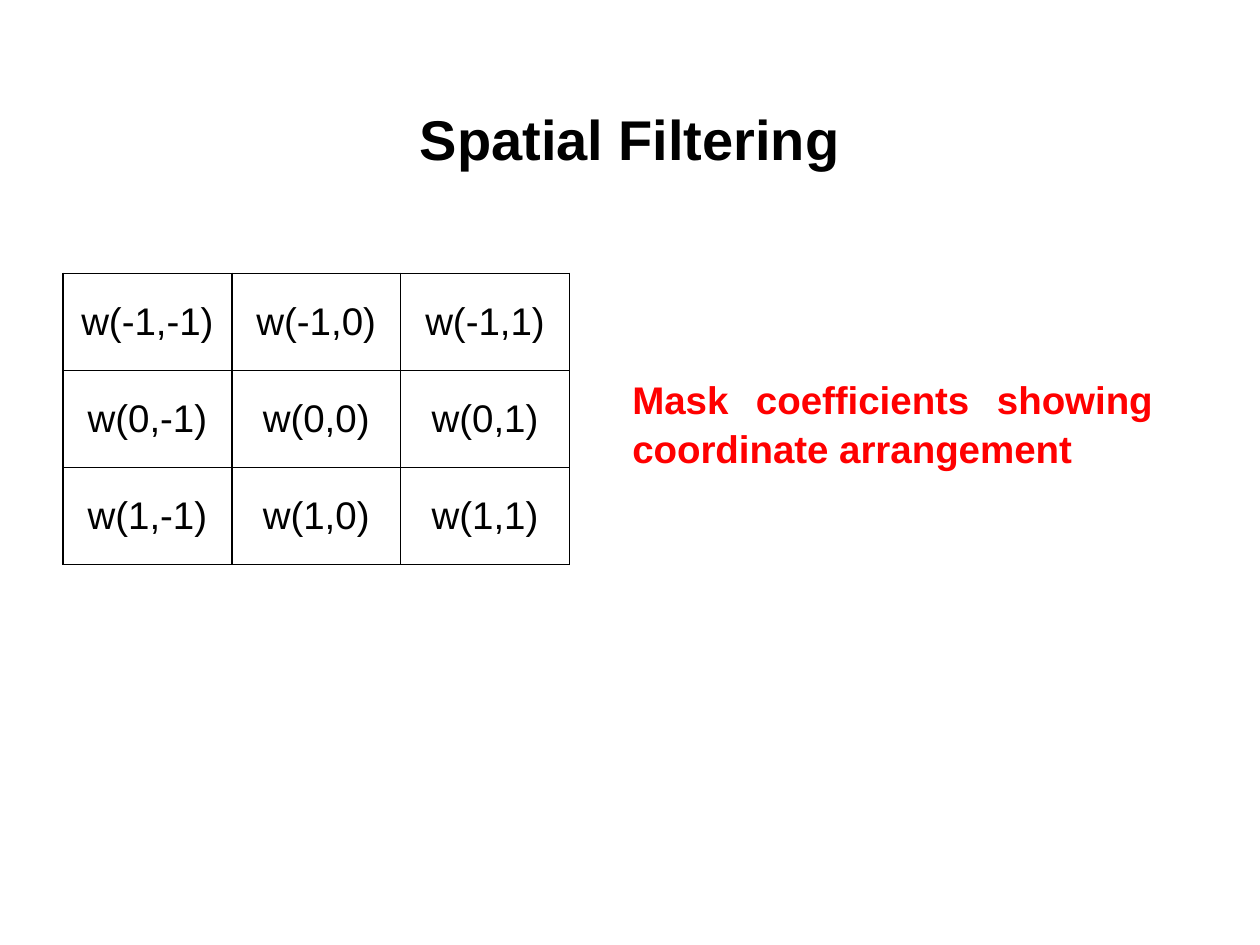
from lxml.etree import SubElement
from pptx import Presentation
from pptx.dml.color import RGBColor
from pptx.enum.text import MSO_ANCHOR, MSO_AUTO_SIZE, PP_ALIGN
from pptx.oxml.ns import qn
from pptx.util import Inches, Pt

COLORS = {"ink": "000000", "accent": "FF0000", "paper": "FFFFFF"}
WIDTH, HEIGHT = 10, 7.5
OFFSETS = (-1, 0, 1)


class SlideBuilder:
    """Holds the text style and the current slide; lengths are shares of the slide."""

    font = "Arial"
    body_size = 22
    line_spacing = 1.05
    border_width = 1.08

    def __init__(self, deck):
        self.slide = deck.slides.add_slide(deck.slide_layouts[5])

    def box(self, left, top, width, height):
        return (Inches(left * WIDTH), Inches(top * HEIGHT),
                Inches(width * WIDTH), Inches(height * HEIGHT))

    def set_text(self, frame, text, align, size=body_size, color="ink", bold=False):
        frame.text = text
        paragraph = frame.paragraphs[0]
        paragraph.alignment = align
        for run in paragraph.runs:
            run.font.name = self.font
            run.font.size = Pt(size)
            run.font.bold = bold
            run.font.color.rgb = RGBColor.from_string(COLORS[color])
        return paragraph

    def heading(self, text, *place, size):
        title = self.slide.shapes.title
        title.left, title.top, title.width, title.height = self.box(*place)
        frame = title.text_frame
        frame.vertical_anchor = MSO_ANCHOR.TOP
        frame.auto_size = MSO_AUTO_SIZE.NONE
        paragraph = self.set_text(frame, text, PP_ALIGN.CENTER, size, bold=True)
        paragraph.line_spacing = self.line_spacing

    def caption(self, text, *place):
        frame = self.slide.shapes.add_textbox(*self.box(*place)).text_frame
        frame.word_wrap = True
        paragraph = self.set_text(frame, text, PP_ALIGN.JUSTIFY, color="accent", bold=True)
        paragraph.line_spacing = self.line_spacing

    def border(self, cell):
        properties = cell._tc.get_or_add_tcPr()
        for index, side in enumerate(("a:lnL", "a:lnR", "a:lnT", "a:lnB")):
            line = properties.makeelement(qn(side), {"w": str(Pt(self.border_width))})
            fill = SubElement(line, qn("a:solidFill"))
            SubElement(fill, qn("a:srgbClr"), val=COLORS["ink"])
            properties.insert(index, line)

    def grid(self, rows, *place):
        table = self.slide.shapes.add_table(
            len(rows), len(rows[0]), *self.box(*place)).table
        table.first_row = table.horz_banding = False
        for r, row in enumerate(rows):
            for c, text in enumerate(row):
                cell = table.cell(r, c)
                self.set_text(cell.text_frame, text, PP_ALIGN.CENTER)
                cell.vertical_anchor = MSO_ANCHOR.MIDDLE
                cell.fill.solid()
                cell.fill.fore_color.rgb = RGBColor.from_string(COLORS["paper"])
                self.border(cell)


def main():
    deck = Presentation()
    deck.slide_width, deck.slide_height = Inches(WIDTH), Inches(HEIGHT)
    builder = SlideBuilder(deck)

    # Title across the full width
    builder.heading("Spatial Filtering", 0, 0.1, 1, 0.64 / HEIGHT, size=32)

    # Mask coefficients, one per coordinate offset
    coefficients = [[f"w({x},{y})" for y in OFFSETS] for x in OFFSETS]
    builder.grid(coefficients, 0.05, 2.17 / HEIGHT, 4.02 / WIDTH, 2.31 / HEIGHT)

    # Explanation beside the mask
    builder.caption("Mask coefficients showing coordinate arrangement",
                    4.92 / WIDTH, 2.92 / HEIGHT, 4.33 / WIDTH, 0.84 / HEIGHT)

    deck.save("out.pptx")


if __name__ == "__main__":
    main()
